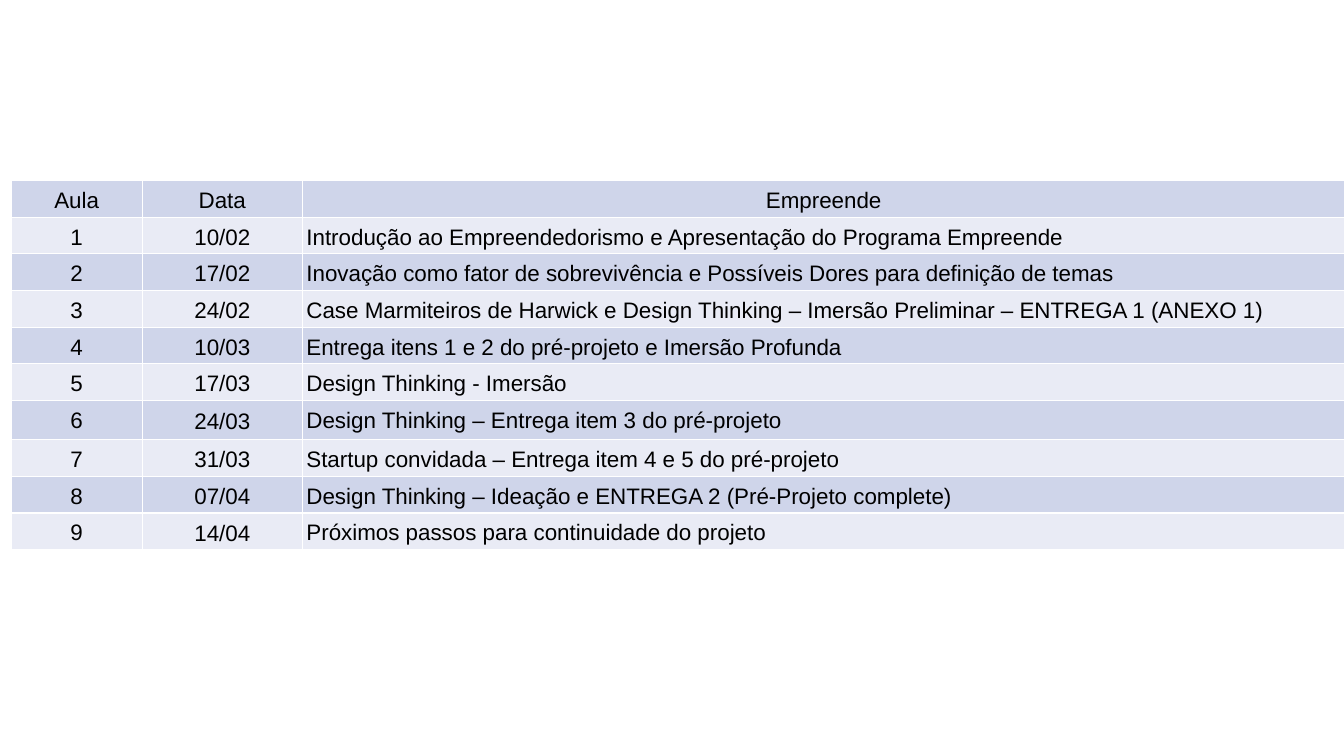
import pptx
import pptx.util
import pptx.dml.color
import pptx.enum.text
import pptx.oxml
import pptx.oxml.ns
from pptx.util import Inches

BLACK = pptx.dml.color.RGBColor(0x00, 0x00, 0x00)
DARK = pptx.dml.color.RGBColor(0xCF, 0xD5, 0xEA)
LIGHT = pptx.dml.color.RGBColor(0xE9, 0xEB, 0xF5)
WHITE = pptx.dml.color.RGBColor(0xFF, 0xFF, 0xFF)

LESSONS = [
    ("Aula", "Data", "Empreende"),
    ("1", "10/02", "Introdução ao Empreendedorismo e Apresentação do Programa Empreende"),
    ("2", "17/02", "Inovação como fator de sobrevivência e Possíveis Dores para definição de temas"),
    ("3", "24/02", "Case Marmiteiros de Harwick e Design Thinking – Imersão Preliminar – ENTREGA 1 (ANEXO 1)"),
    ("4", "10/03", "Entrega itens 1 e 2 do pré-projeto e Imersão Profunda"),
    ("5", "17/03", "Design Thinking - Imersão"),
    ("6", "24/03", "Design Thinking – Entrega item 3 do pré-projeto"),
    ("7", "31/03", "Startup convidada – Entrega item 4 e 5 do pré-projeto"),
    ("8", "07/04", "Design Thinking – Ideação e ENTREGA 2 (Pré-Projeto complete)"),
    ("9", "14/04", "Próximos passos para continuidade do projeto"),
]
WIDTHS = [1.3, 1.59, 10.34]
HEIGHTS = [0.34] + [0.36] * 5 + [0.39] + [0.36] * 3


def add_borders(cell):
    props = cell._tc.get_or_add_tcPr()
    for spot, side in enumerate(("lnL", "lnR", "lnT", "lnB")):
        line = pptx.oxml.parse_xml(
            f'<a:{side} {pptx.oxml.ns.nsdecls("a")} w="{pptx.util.Pt(1)}">'
            f'<a:solidFill><a:srgbClr val="{WHITE}"/></a:solidFill></a:{side}>')
        props.insert(spot, line)


deck = pptx.Presentation()
deck.slide_width = Inches(13.33)
deck.slide_height = Inches(7.5)
slide = deck.slides.add_slide(deck.slide_layouts[6])

frame = slide.shapes.add_table(
    len(LESSONS), len(WIDTHS), Inches(0.11), Inches(1.79),
    Inches(sum(WIDTHS)), Inches(sum(HEIGHTS)))
table = frame.table
for column, width in zip(table.columns, WIDTHS):
    column.width = Inches(width)
for row, height in zip(table.rows, HEIGHTS):
    row.height = Inches(height)

for r, lesson in enumerate(LESSONS):
    for c, text in enumerate(lesson):
        cell = table.cell(r, c)
        cell.text = text
        cell.fill.solid()
        cell.fill.fore_color.rgb = LIGHT if r % 2 else DARK
        cell.margin_left = cell.margin_right = Inches(0.04)
        cell.margin_top = cell.margin_bottom = Inches(0.04)
        if c == 1 or (r == 0 and c == 2):
            cell.vertical_anchor = pptx.enum.text.MSO_ANCHOR.MIDDLE
        add_borders(cell)

        para = cell.text_frame.paragraphs[0]
        para.line_spacing = 1.15
        para.space_after = pptx.util.Pt(10)
        if r == 0 or c < 2:
            para.alignment = pptx.enum.text.PP_ALIGN.CENTER
        else:
            para.alignment = pptx.enum.text.PP_ALIGN.LEFT
        para.font.name = "Arial"
        para.font.size = pptx.util.Pt(16)
        para.font.bold = False
        para.font.color.rgb = BLACK

deck.save("out.pptx")
